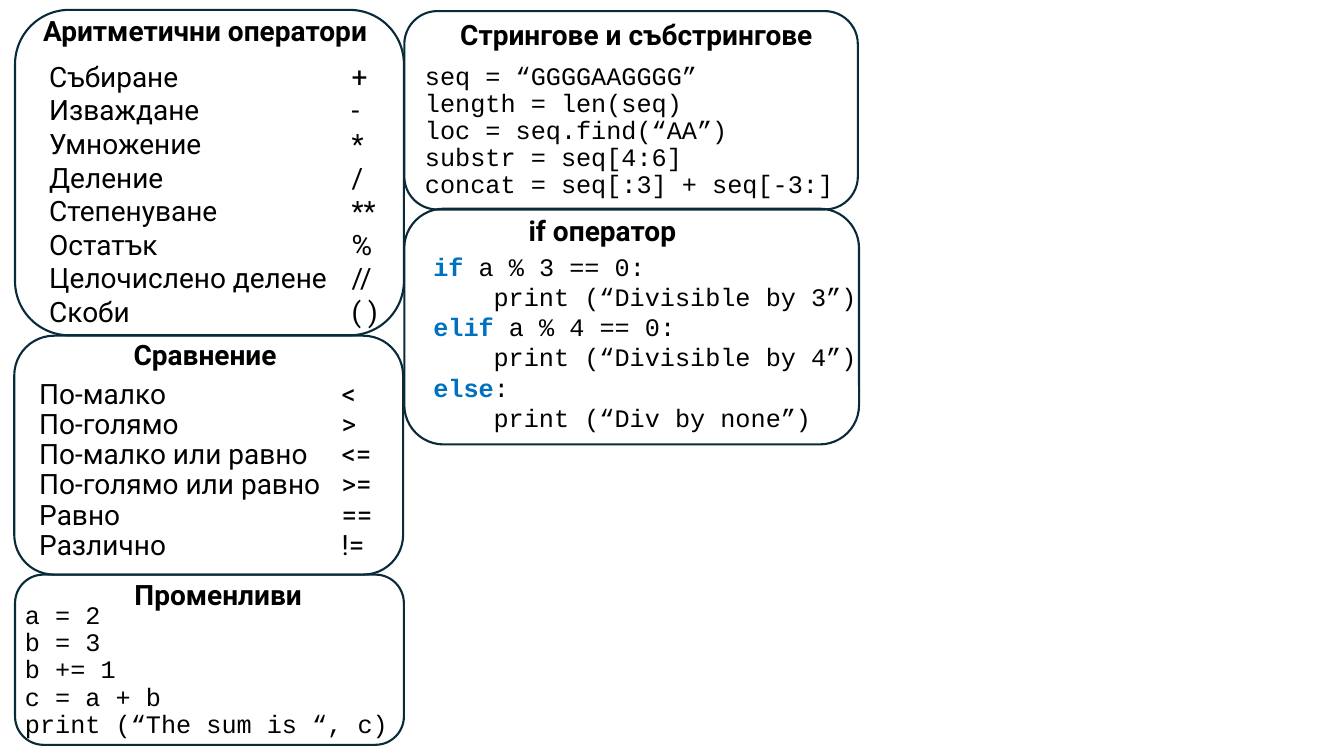
"""Build a slide of Python operator and syntax cards."""
from dataclasses import dataclass

import pptx
import pptx.dml.color
import pptx.enum.shapes
import pptx.enum.text
import pptx.oxml
import pptx.oxml.ns
import pptx.util

Cm = pptx.util.Cm
Pt = pptx.util.Pt
RGBColor = pptx.dml.color.RGBColor

BLACK = RGBColor(0x00, 0x00, 0x00)
BLUE = RGBColor(0x00, 0x70, 0xC0)
NAVY = RGBColor(0x09, 0x2A, 0x39)
SANS = "Roboto"
MONO = "Courier New"
KEYS = ("if", "elif", "else")
TIGHT = 0.9
STOP = Cm(7.62)
INDENT = Cm(1.52)
HEAD_SIZE = (10.44, 2.13)

Box = tuple[float, float, float, float]


@dataclass(frozen=True)
class Card:
    frame: Box
    title: str
    head: tuple[float, float]
    body: Box
    lines: tuple[str, ...]
    font: str = MONO
    size: int = 18
    pitch: float = TIGHT


CARDS = (
    Card((0.38, 0.25, 9.8, 8.2), "Аритметични оператори", (-0.05, -0.25),
         (0.99, 1.37, 9.27, 7.59),
         ("Събиране\t+", "Изваждане\t-", "Умножение\t*", "Деление\t/",
          "Степенуване\t**", "Остатък\t%", "Целочислено делене\t//",
          "Скоби\t( )"),
         SANS, 20, 1.0),
    Card((0.36, 8.46, 9.8, 6.02), "Сравнение", (-0.05, 7.92),
         (0.74, 9.45, 9.86, 5.38),
         ("По-малко\t<", "По-голямо\t>", "По-малко или равно\t<=",
          "По-голямо или равно\t>=", "Равно\t==", "Различно\t!="),
         SANS, 20),
    Card((0.38, 14.48, 9.8, 4.29), "Променливи", (0.28, 13.97),
         (0.38, 15.06, 10.44, 4.27),
         ("а = 2", "b = 3", "b += 1", "c = a + b",
          "print (“The sum is “, c)")),
    Card((10.19, 0.28, 11.43, 5.0), "Стрингове и събстрингове",
         (10.82, -0.15), (10.46, 1.47, 11.43, 5.44),
         ("seq = “GGGGAAGGGG”", "length = len(seq)",
          "loc = seq.find(“AA”)", "substr = seq[4:6]",
          "concat = seq[:3] + seq[-3:]")),
    Card((10.19, 5.26, 11.46, 5.94), "if оператор", (9.96, 4.78),
         (10.67, 6.2, 11.81, 4.88),
         ("if a % 3 == 0:", "\tprint (“Divisible by 3”)",
          "elif a % 4 == 0:", "\tprint (“Divisible by 4”)",
          "else:", "\tprint (“Div by none”)"),
         pitch=1.0),
)


def style(run, font: str, size: int, bold: bool = False,
          color: RGBColor = BLACK) -> None:
    run.font.name = font
    run.font.size = Pt(size)
    run.font.bold = bold
    run.font.color.rgb = color


def add_text(slide, box: Box):
    frame = slide.shapes.add_textbox(*map(Cm, box)).text_frame
    frame.word_wrap = True
    return frame


def draw_frame(slide, box: Box) -> None:
    kind = pptx.enum.shapes.MSO_SHAPE.ROUNDED_RECTANGLE
    shape = slide.shapes.add_shape(kind, *map(Cm, box))
    shape.shadow.inherit = False
    shape.fill.background()
    shape.line.color.rgb = NAVY
    shape.line.width = Pt(1.5)


def draw_title(slide, card: Card) -> None:
    frame = add_text(slide, card.head + HEAD_SIZE)
    frame.vertical_anchor = pptx.enum.text.MSO_ANCHOR.MIDDLE
    frame.text = card.title
    par = frame.paragraphs[0]
    par.alignment = pptx.enum.text.PP_ALIGN.CENTER
    par.line_spacing = TIGHT
    style(par.runs[0], SANS, 20, True)


def add_stop(par) -> None:
    tabs = pptx.oxml.parse_xml(
        f'<a:tabLst {pptx.oxml.ns.nsdecls("a")}>'
        f'<a:tab pos="{int(STOP)}" algn="l"/></a:tabLst>')
    par._p.get_or_add_pPr().append(tabs)


def fill_line(par, line: str, card: Card) -> None:
    text = line.lstrip("\t")
    par.line_spacing = card.pitch
    if text != line:
        par._p.get_or_add_pPr().set("marL", str(int(INDENT)))
    elif "\t" in text:
        add_stop(par)
    key = next((k for k in KEYS if text.startswith((k + " ", k + ":"))), "")
    if key:
        par.text = key
        par.add_run().text = text[len(key):]
    else:
        par.text = text
    for run in par.runs:
        mark = run.text in KEYS
        style(run, card.font, card.size, mark, BLUE if mark else BLACK)


def draw_card(slide, card: Card) -> None:
    draw_frame(slide, card.frame)
    draw_title(slide, card)
    frame = add_text(slide, card.body)
    frame.text = "\n".join(card.lines)
    for par, line in zip(frame.paragraphs, card.lines):
        fill_line(par, line, card)


def main() -> None:
    deck = pptx.Presentation()
    deck.slide_width = Cm(33.87)
    deck.slide_height = Cm(19.05)
    slide = deck.slides.add_slide(deck.slide_layouts[6])
    for card in CARDS:
        draw_card(slide, card)
    deck.save("out.pptx")


if __name__ == "__main__":
    main()
